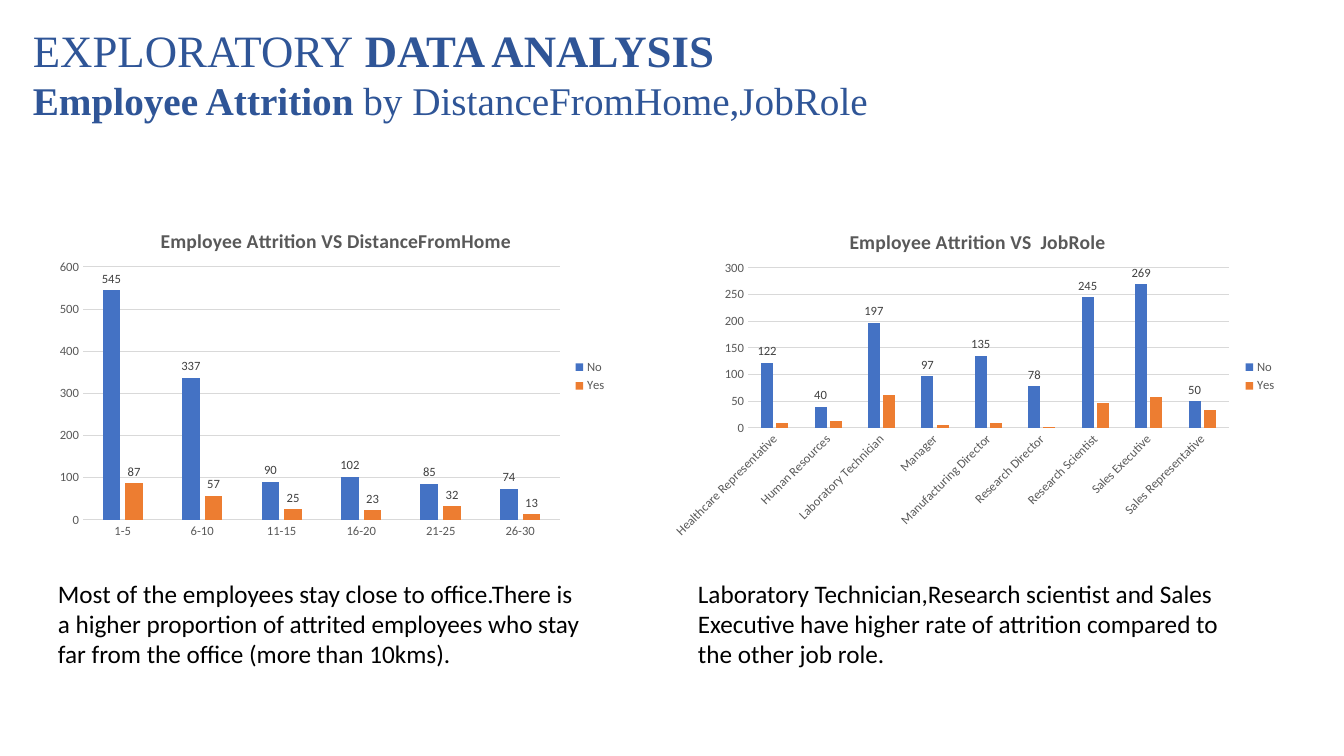
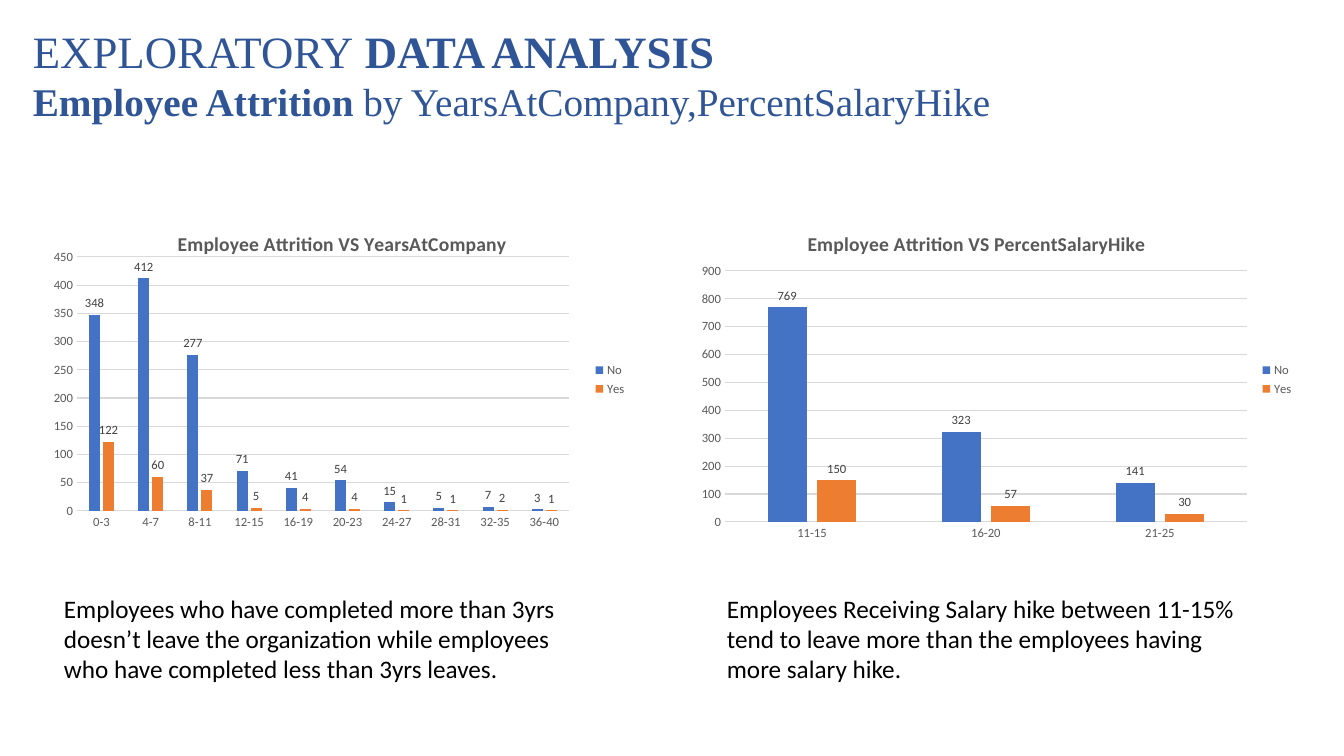
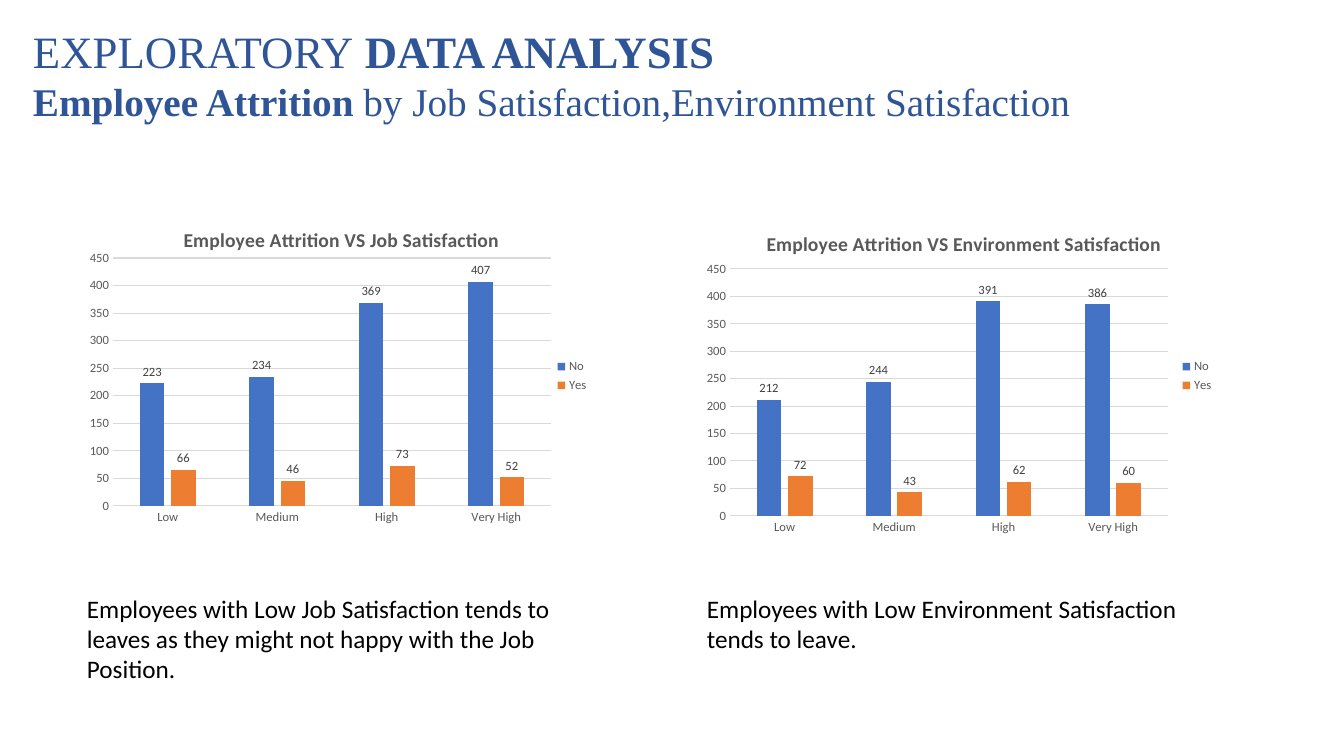
from dataclasses import dataclass

from pptx import Presentation
from pptx.chart.data import CategoryChartData
from pptx.dml.color import RGBColor
from pptx.enum.chart import XL_CHART_TYPE as ChartType
from pptx.enum.chart import XL_LABEL_POSITION as LabelPos
from pptx.enum.chart import XL_LEGEND_POSITION as LegendPos
from pptx.enum.chart import XL_TICK_MARK as Tick
from pptx.oxml import parse_xml
from pptx.oxml.ns import nsdecls, qn
from pptx.util import Emu, Pt

PX = 914400 / 100.8
SLIDE_W, SLIDE_H = 1344, 756


@dataclass(frozen=True)
class Theme:
    title_font: str = "Times New Roman"
    body_font: str = "Calibri"
    heading: str = "2F5597"
    body: str = "000000"
    muted: str = "595959"
    label: str = "404040"
    grid: str = "D9D9D9"
    series: tuple = ("4472C4", "ED7D31")
    title_pt: int = 32
    subtitle_pt: int = 28
    body_pt: int = 18
    chart_title_pt: int = 14
    chart_pt: int = 9


T = Theme()

# box: left, top, width, height; plot: left, top, right, bottom; title_at: left, top
SATISFACTION = ["Low", "Medium", "High", "Very High"]
SLIDES = [
    {
        "topic": "DistanceFromHome,JobRole", "title_box": (23, 11, 978, 166),
        "charts": [
            {"title": "Employee Attrition VS DistanceFromHome",
             "box": (48, 207, 569, 339), "plot": (83, 267, 560, 520), "title_at": (157, 224),
             "cats": ["1-5", "6-10", "11-15", "16-20", "21-25", "26-30"],
             "no": [545, 337, 90, 102, 85, 74], "yes": [87, 57, 25, 23, 32, 13]},
            {"title": "Employee Attrition VS  JobRole",
             "box": (660, 207, 627, 339), "plot": (748, 268, 1229, 428), "title_at": (846, 225),
             "cats": ["Healthcare Representative", "Human Resources", "Laboratory Technician",
                      "Manager", "Manufacturing Director", "Research Director",
                      "Research Scientist", "Sales Executive", "Sales Representative"],
             "no": [122, 40, 197, 97, 135, 78, 245, 269, 50],
             "yes": [9, 12, 62, 5, 10, 2, 47, 57, 33],
             "slanted": True, "labelled": 1},
        ],
        "notes": [
            ((48, 573, 542, 102), "Most of the employees stay close to office.There is a higher "
             "proportion of attrited employees who stay far from the office (more than 10kms)."),
            ((688, 573, 555, 102), "Laboratory Technician,Research scientist and Sales Executive "
             "have higher rate of attrition compared to the other job role."),
        ],
    },
    {
        "topic": "YearsAtCompany,PercentSalaryHike", "title_box": (23, 12, 1198, 166),
        "charts": [
            {"title": "Employee Attrition VS YearsAtCompany",
             "box": (41, 210, 596, 339), "plot": (77, 257, 569, 511), "title_at": (174, 227),
             "cats": ["0-3", "4-7", "8-11", "12-15", "16-19", "20-23", "24-27", "28-31",
                      "32-35", "36-40"],
             "no": [348, 412, 277, 71, 41, 54, 15, 5, 7, 3],
             "yes": [122, 60, 37, 5, 4, 4, 1, 1, 2, 1]},
            {"title": "Employee Attrition VS PercentSalaryHike",
             "box": (689, 210, 615, 339), "plot": (725, 271, 1247, 522), "title_at": (804, 227),
             "cats": ["11-15", "16-20", "21-25"],
             "no": [769, 323, 141], "yes": [150, 57, 30]},
        ],
        "notes": [
            ((54, 588, 536, 102), "Employees who have completed more than 3yrs doesn’t leave the "
             "organization while employees who have completed less than 3yrs leaves."),
            ((717, 588, 537, 102), "Employees Receiving Salary hike between 11-15% tend to leave "
             "more than the employees having more salary hike."),
        ],
    },
    {
        "topic": "Job Satisfaction,Environment Satisfaction", "title_box": (23, 12, 1102, 166),
        "charts": [
            {"title": "Employee Attrition VS Job Satisfaction",
             "box": (58, 210, 541, 332), "plot": (113, 258, 551, 506), "title_at": (180, 223),
             "cats": SATISFACTION,
             "no": [223, 234, 369, 407], "yes": [66, 46, 73, 52]},
            {"title": "Employee Attrition VS Environment Satisfaction",
             "box": (697, 210, 527, 332), "plot": (730, 269, 1168, 516), "title_at": (763, 227),
             "cats": SATISFACTION,
             "no": [212, 244, 391, 386], "yes": [72, 43, 62, 60]},
        ],
        "notes": [
            ((77, 588, 504, 102), "Employees with Low Job Satisfaction tends to leaves as they "
             "might not happy with the Job Position."),
            ((697, 588, 512, 71), "Employees with Low Environment Satisfaction tends to leave."),
        ],
    },
]


def px(*lengths):
    return [Emu(round(n * PX)) for n in lengths]


def style(font, size, color, name=T.body_font, bold=False):
    font.size, font.name, font.bold = Pt(size), name, bold
    font.color.rgb = RGBColor.from_string(color)


def add_run(p, text, *args, **kwargs):
    r = p.add_run()
    r.text = text
    style(r.font, *args, **kwargs)


def add_text_frame(s, box):
    tf = s.shapes.add_textbox(*px(*box)).text_frame
    tf.word_wrap = True
    return tf


def add_title(s, box, topic):
    tf = add_text_frame(s, box)
    tf.margin_top = px(12)[0]
    lines = [
        (T.title_pt, [("EXPLORATORY", False), (" DATA ANALYSIS", True)]),
        (T.subtitle_pt, [("Employee Attrition ", True), ("by " + topic, False)]),
    ]
    for i, (size, runs) in enumerate(lines):
        p = tf.add_paragraph() if i else tf.paragraphs[0]
        for text, bold in runs:
            add_run(p, text, size, T.heading, T.title_font, bold)


def set_layout(parent, index, box, left, top, right=None, bottom=None):
    """Fix a chart part at slide positions, written as shares of the chart box."""
    x, y, w, h = box
    values = {"x": (left - x) / w, "y": (top - y) / h}
    modes = '<c:xMode val="edge"/><c:yMode val="edge"/>'
    if right is not None:
        values.update(w=(right - left) / w, h=(bottom - top) / h)
        modes = '<c:layoutTarget val="inner"/>' + modes
    body = "".join(f'<c:{k} val="{v:.4f}"/>' for k, v in values.items())
    for old in parent.findall(qn("c:layout")):
        parent.remove(old)
    parent.insert(index, parse_xml(
        f'<c:layout {nsdecls("c")}><c:manualLayout>{modes}{body}</c:manualLayout></c:layout>'))


def style_line(line):
    line.color.rgb = RGBColor.from_string(T.grid)
    line.width = Pt(0.75)


def style_axes(chart, slanted):
    cat, val = chart.category_axis, chart.value_axis
    for axis in (cat, val):
        axis.major_tick_mark = axis.minor_tick_mark = Tick.NONE
        style(axis.tick_labels.font, T.chart_pt, T.muted)
    style_line(cat.format.line)
    val.format.line.fill.background()
    val.has_major_gridlines = True
    style_line(val.major_gridlines.format.line)
    if slanted:
        body = cat._element.find(qn("c:txPr")).find(qn("a:bodyPr"))
        body.set("rot", "-2700000")
        body.set("vert", "horz")


def add_attrition_chart(s, title, box, plot, title_at, cats, no, yes, slanted=False, labelled=2):
    data = CategoryChartData()
    data.categories = cats
    data.add_series("No", no)
    data.add_series("Yes", yes)
    chart = s.shapes.add_chart(ChartType.COLUMN_CLUSTERED, *px(*box), data).chart
    style(chart.font, 10, T.body)

    chart.has_title = True
    add_run(chart.chart_title.text_frame.paragraphs[0], title,
            T.chart_title_pt, T.muted, bold=True)
    set_layout(chart.chart_title._element, 1, box, *title_at)
    set_layout(chart._chartSpace.chart.plotArea, 0, box, *plot)

    chart.has_legend = True
    chart.legend.position = LegendPos.RIGHT
    chart.legend.include_in_layout = False
    style(chart.legend.font, T.chart_pt, T.muted)
    style_axes(chart, slanted)

    bars = chart.plots[0]
    bars.gap_width, bars.overlap, bars.vary_by_categories = 219, -27, False
    for i, (series, color) in enumerate(zip(bars.series, T.series)):
        series.format.fill.solid()
        series.format.fill.fore_color.rgb = RGBColor.from_string(color)
        if i < labelled:
            labels = series.data_labels
            labels.show_value = True
            labels.position = LabelPos.OUTSIDE_END
            style(labels.font, T.chart_pt, T.label)


def main():
    prs = Presentation()
    prs.slide_width, prs.slide_height = px(SLIDE_W, SLIDE_H)
    for content in SLIDES:
        s = prs.slides.add_slide(prs.slide_layouts[6])
        for chart in content["charts"]:
            add_attrition_chart(s, **chart)
        add_title(s, content["title_box"], content["topic"])
        for box, text in content["notes"]:
            add_run(add_text_frame(s, box).paragraphs[0], text, T.body_pt, T.body)
    prs.save("out.pptx")


if __name__ == "__main__":
    main()
